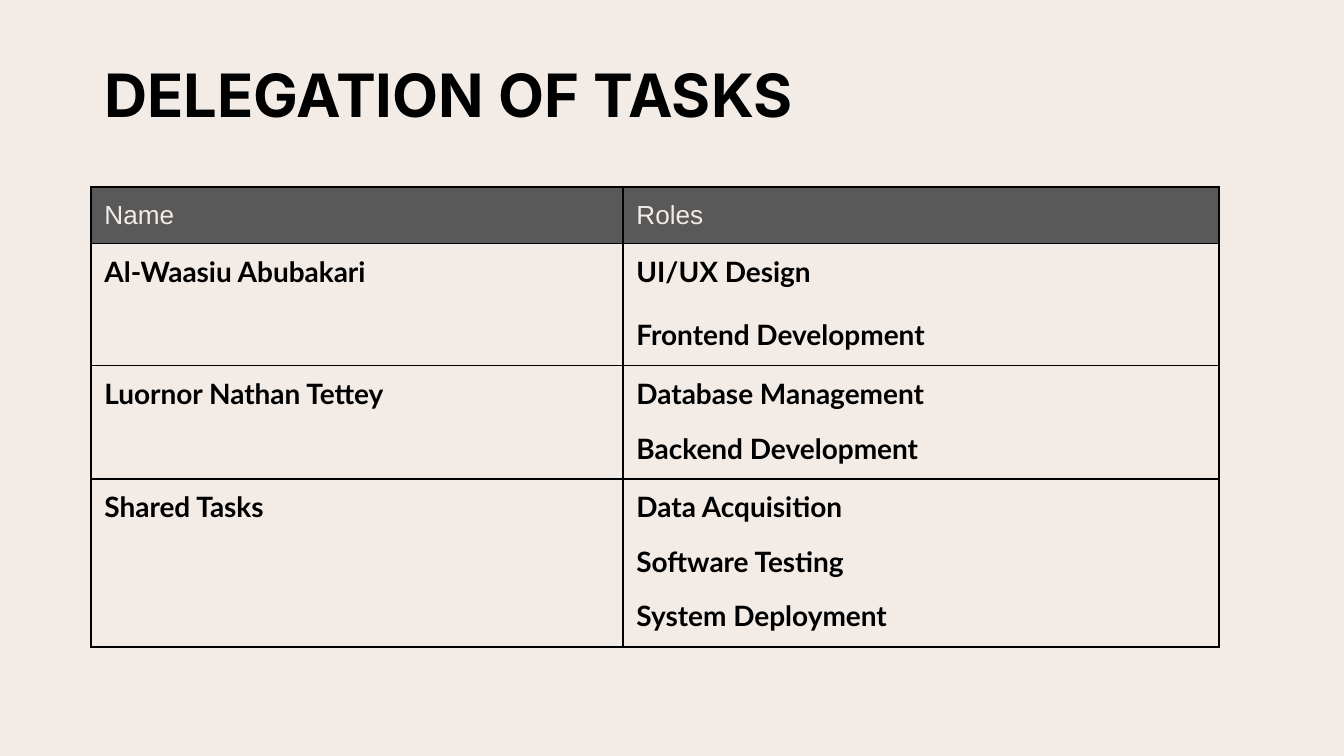
from lxml.etree import SubElement
from pptx import Presentation
from pptx.dml.color import RGBColor
from pptx.enum.text import MSO_AUTO_SIZE
from pptx.oxml.ns import qn
from pptx.util import Emu, Pt

CREAM = RGBColor(0xF2, 0xEB, 0xE6)
GREY = RGBColor(0x59, 0x59, 0x59)
BLACK = RGBColor(0, 0, 0)


def px(length):
    return Emu(round(length * 914400 / 134.4))


def add_borders(cell):
    properties = cell._tc.get_or_add_tcPr()
    for side in ("lnL", "lnR", "lnT", "lnB"):
        border = SubElement(properties, qn(f"a:{side}"), w=str(Pt(0.75)))
        ink = SubElement(border, qn("a:solidFill"))
        SubElement(ink, qn("a:srgbClr"), val=str(BLACK))


presentation = Presentation()
presentation.slide_width = px(1344)
presentation.slide_height = px(756)
slide = presentation.slides.add_slide(presentation.slide_layouts[6])
slide.background.fill.solid()
slide.background.fill.fore_color.rgb = CREAM

rows = [
    (56, "Name", ["Roles"], 0),
    (122, "Al-Waasiu Abubakari", ["UI/UX Design", "Frontend Development"], 17),
    (113, "Luornor Nathan Tettey", ["Database Management", "Backend Development"], 12),
    (168, "Shared Tasks", ["Data Acquisition", "Software Testing", "System Deployment"], 12),
]
delegation = slide.shapes.add_table(len(rows), 2, px(91), px(187), px(1128), px(459)).table
delegation.first_row = False
delegation.horz_banding = False
for column, width in zip(delegation.columns, (532, 596)):
    column.width = px(width)

for index, (height, name, roles, gap) in enumerate(rows):
    delegation.rows[index].height = px(height)
    is_header = index == 0
    for cell, lines in zip(delegation.rows[index].cells, ([name], roles)):
        cell.margin_left = cell.margin_right = Pt(7.2)
        cell.margin_top = cell.margin_bottom = Pt(7.2)
        add_borders(cell)
        if is_header:
            cell.fill.solid()
            cell.fill.fore_color.rgb = GREY
        else:
            cell.fill.background()
        cell.text = "\n".join(lines)
        for position, paragraph in enumerate(cell.text_frame.paragraphs):
            paragraph.font.name = "Arial" if is_header else "Lato"
            paragraph.font.size = Pt(14 if is_header else 15)
            paragraph.font.bold = not is_header
            paragraph.font.color.rgb = CREAM if is_header else BLACK
            if not is_header:
                paragraph.line_spacing = 0.95
            if position:
                paragraph.space_before = Pt(gap)

title = slide.shapes.add_textbox(px(91), px(51), px(1062), px(86)).text_frame
title.word_wrap = True
title.auto_size = MSO_AUTO_SIZE.SHAPE_TO_FIT_TEXT
title.text = "DELEGATION OF TASKS"
heading = title.paragraphs[0]
heading.font.name = "Inter"
heading.font.size = Pt(32)
heading.font.bold = True
heading.font.color.rgb = BLACK

presentation.save("out.pptx")
